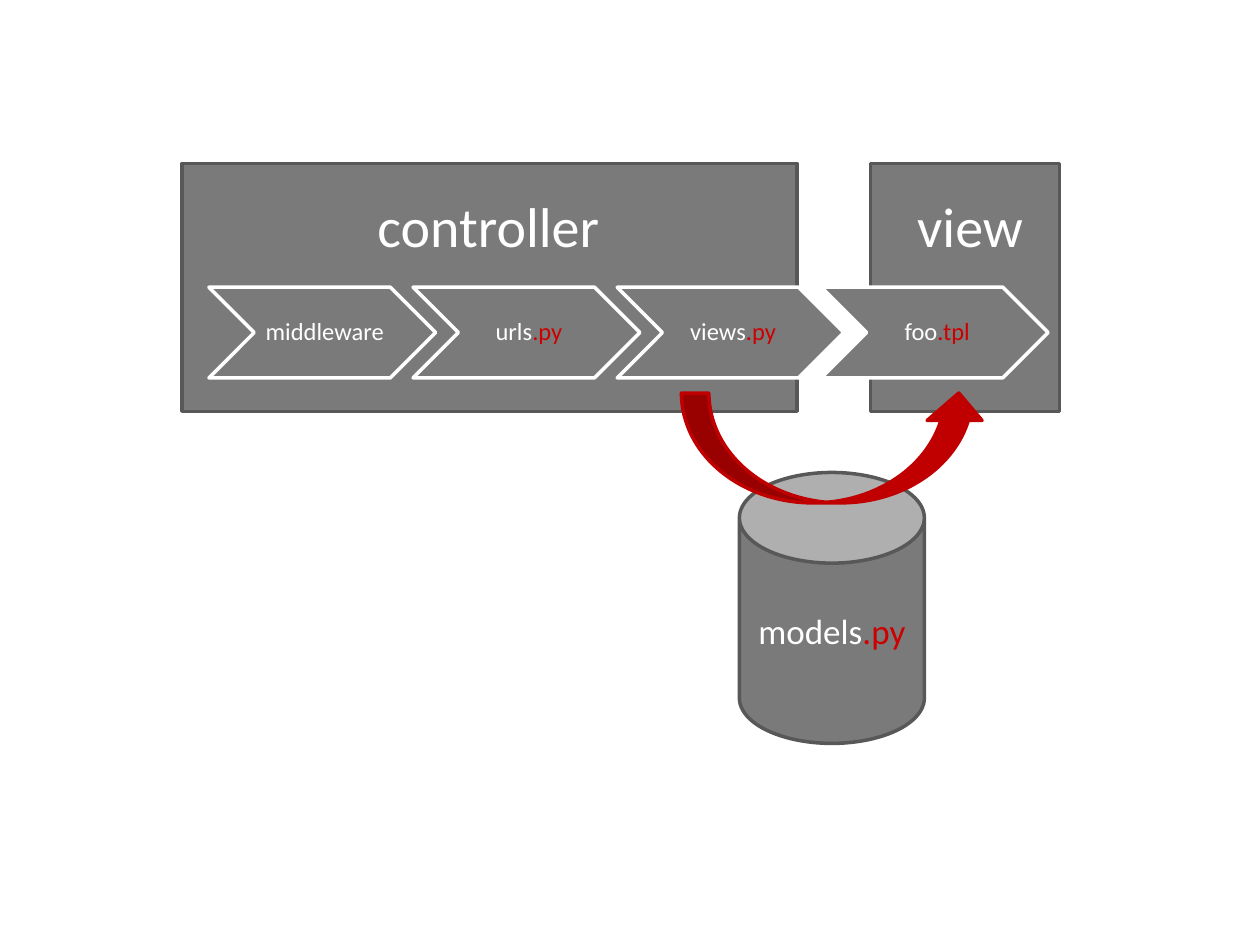
from dataclasses import dataclass

from pptx import Presentation
from pptx.dml.color import RGBColor
from pptx.enum.shapes import MSO_SHAPE
from pptx.enum.text import MSO_ANCHOR, MSO_AUTO_SIZE, PP_ALIGN
from pptx.shapes.autoshape import Shape
from pptx.slide import Slide
from pptx.text.text import _Paragraph as Paragraph
from pptx.util import Pt


@dataclass(frozen=True)
class Theme:
    font: str = "Calibri"
    fill: str = "7A7A7A"
    outline: str = "585858"
    light: str = "FFFFFF"
    extension: str = "CC0000"
    arrow: str = "C00000"
    line_width: float = 2
    heading_size: float = 32
    model_size: float = 20
    step_size: float = 14


@dataclass(frozen=True)
class Frame:
    left: float
    top: float
    width: float
    height: float

    def lengths(self) -> tuple:
        return Pt(self.left), Pt(self.top), Pt(self.width), Pt(self.height)


@dataclass(frozen=True)
class FileLabel:
    stem: str
    extension: str = ""


@dataclass(frozen=True)
class Layer:
    heading: str
    frame: Frame
    heading_frame: Frame


THEME = Theme()
MODELS_FRAME = Frame(422.5, 270, 105.7, 154.8)
ARROW_FRAME = Frame(389.4, 224.6, 174.2, 62.8)
LAYERS = (
    Layer("controller", Frame(103.9, 93.5, 351.7, 141.6), Frame(208.6, 105.8, 142.6, 46)),
    Layer("view", Frame(497.5, 93.5, 108, 141.6), Frame(517, 105.8, 75.6, 46)),
)
STEPS = (
    FileLabel("middleware"),
    FileLabel("urls", ".py"),
    FileLabel("views", ".py"),
    FileLabel("foo", ".tpl"),
)
FIRST_STEP = Frame(119.4, 164.1, 129.6, 51.84)
STEP_PITCH = FIRST_STEP.width * 0.9


def set_values(target: object, values: dict) -> None:
    for name, value in values.items():
        setattr(target, name, value)


def add_span(para: Paragraph, text: str, size: float, color: str) -> None:
    span = para.add_run()
    span.text = text
    set_values(span.font, {"name": THEME.font, "size": Pt(size)})
    span.font.color.rgb = RGBColor.from_string(color)


def add_figure(page: Slide, kind: MSO_SHAPE, frame: Frame,
               fill: str = THEME.fill, outline: str = THEME.outline) -> Shape:
    figure = page.shapes.add_shape(kind, *frame.lengths())
    figure.shadow.inherit = False
    figure.fill.solid()
    figure.fill.fore_color.rgb = RGBColor.from_string(fill)
    figure.line.color.rgb = RGBColor.from_string(outline)
    figure.line.width = Pt(THEME.line_width)
    return figure


def add_file_label(figure: Shape, label: FileLabel, size: float) -> Paragraph:
    set_values(figure.text_frame, {"word_wrap": True, "vertical_anchor": MSO_ANCHOR.MIDDLE})
    para = figure.text_frame.paragraphs[0]
    para.alignment = PP_ALIGN.CENTER
    add_span(para, label.stem, size, THEME.light)
    if label.extension:
        add_span(para, label.extension, size, THEME.extension)
    return para


def add_step(page: Slide, index: int, label: FileLabel) -> None:
    frame = Frame(FIRST_STEP.left + index * STEP_PITCH, FIRST_STEP.top,
                  FIRST_STEP.width, FIRST_STEP.height)
    chevron = add_figure(page, MSO_SHAPE.CHEVRON, frame, outline=THEME.light)
    set_values(chevron.text_frame, {
        "margin_left": Pt(4.3), "margin_right": Pt(1.4),
        "margin_top": Pt(1.4), "margin_bottom": Pt(1.4),
    })
    para = add_file_label(chevron, label, THEME.step_size)
    set_values(para, {"line_spacing": 0.9, "space_after": Pt(6)})


def add_heading(page: Slide, layer: Layer) -> None:
    box = page.shapes.add_textbox(*layer.heading_frame.lengths())
    set_values(box.text_frame, {
        "word_wrap": False, "auto_size": MSO_AUTO_SIZE.SHAPE_TO_FIT_TEXT,
    })
    add_span(box.text_frame.paragraphs[0], layer.heading, THEME.heading_size, THEME.light)


def main() -> None:
    deck = Presentation()
    set_values(deck, {"slide_width": Pt(720), "slide_height": Pt(540)})
    page = deck.slides.add_slide(deck.slide_layouts[6])

    # Model store
    store = add_figure(page, MSO_SHAPE.CAN, MODELS_FRAME)
    store.adjustments[0] = 0.49
    add_file_label(store, FileLabel("models", ".py"), THEME.model_size)

    # Layer panels behind the request steps
    for layer in LAYERS:
        add_figure(page, MSO_SHAPE.RECTANGLE, layer.frame)
    for index, label in enumerate(STEPS):
        add_step(page, index, label)
    for layer in LAYERS:
        add_heading(page, layer)

    # Data flow through the models
    add_figure(page, MSO_SHAPE.CURVED_UP_ARROW, ARROW_FRAME, THEME.arrow, THEME.arrow)

    deck.save("out.pptx")


if __name__ == "__main__":
    main()
